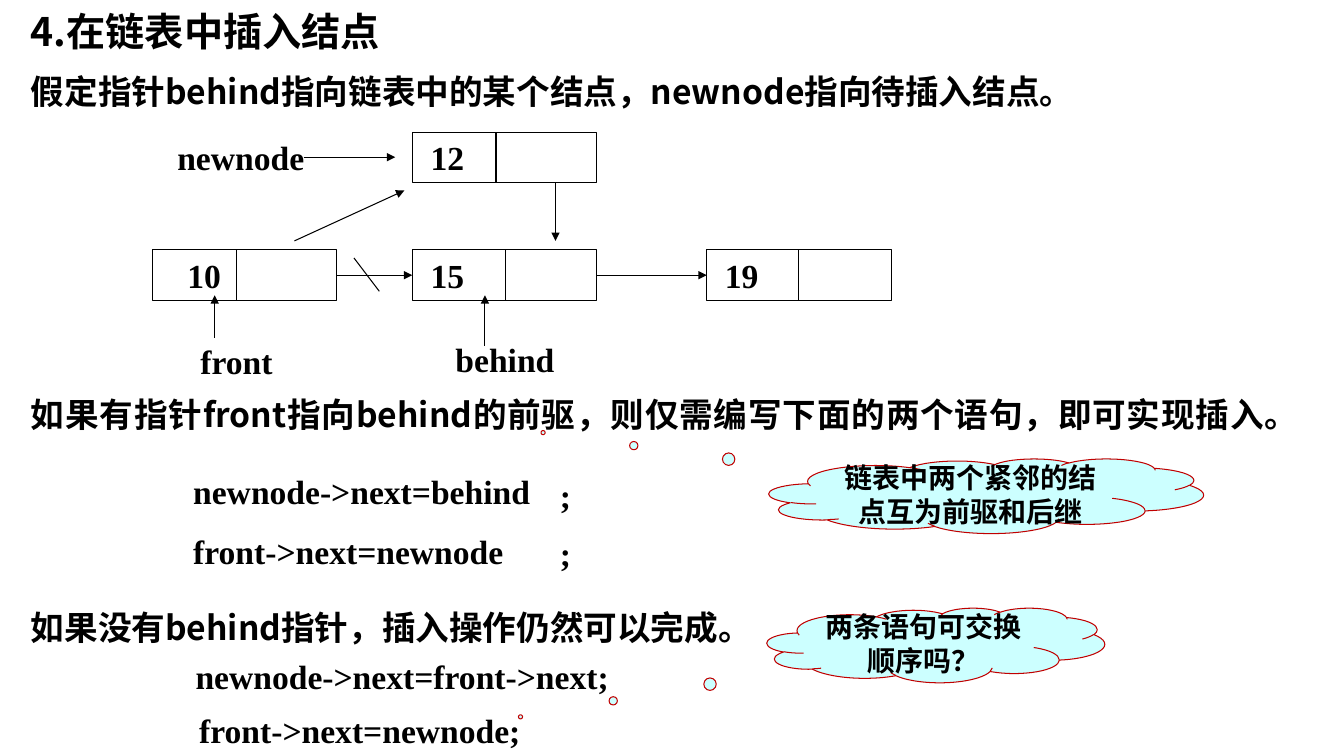
from dataclasses import dataclass

from pptx import Presentation
from pptx import util as u
from pptx.dml import color
from pptx.enum import shapes, text
from pptx.oxml import ns
from lxml import etree


@dataclass(frozen=True)
class Theme:
    """Colours, fonts and type sizes of the slide."""
    ink: str = "000000"
    paper: str = "FFFFFF"
    cloud: str = "CCFFFF"
    edge: str = "C00000"
    han: str = "Noto Sans CJK SC"
    code: str = "Times New Roman"
    head: int = 28
    body: int = 24
    note: int = 20
    rule: float = 0.75


THEME = Theme()
LEFT, MID, JUST = (text.PP_ALIGN.LEFT, text.PP_ALIGN.CENTER, text.PP_ALIGN.JUSTIFY)


def put(item, formats):
    """Set each attribute of an item from a dict."""
    for name, value in formats.items():
        setattr(item, name, value)


def rgb(value):
    """Turn a hex value into a colour."""
    return color.RGBColor.from_string(value)


def write(frame, words, face, size=THEME.body, align=LEFT, **formats):
    """Fill a text frame with one bold paragraph."""
    put(frame, {"word_wrap": True, **formats})
    para = frame.paragraphs[0]
    para.alignment = align
    run = para.add_run()
    run.text = words
    put(run.font, {"name": face, "size": u.Pt(size), "bold": True})
    run.font.color.rgb = rgb(THEME.ink)
    east = etree.SubElement(run.font._element, ns.qn("a:ea"))
    east.set("typeface", face)


def label(slide, box, words, face=THEME.code, **formats):
    """Place a text box."""
    frame = slide.shapes.add_textbox(*map(u.Cm, box)).text_frame
    write(frame, words, face, **formats)


def draw(slide, kind, box, fill, edge):
    """Place a filled and outlined shape."""
    shape = slide.shapes.add_shape(kind, *map(u.Cm, box))
    shape.shadow.inherit = False
    shape.fill.solid()
    shape.fill.fore_color.rgb = rgb(fill)
    shape.line.color.rgb = rgb(edge)
    shape.line.width = u.Pt(THEME.rule)
    return shape


def rule(slide, start, end, arrow=True):
    """Draw a straight line, with an arrowhead at its end if wanted."""
    line = slide.shapes.add_connector(
        shapes.MSO_CONNECTOR.STRAIGHT, *map(u.Cm, (*start, *end)))
    line.line.color.rgb = rgb(THEME.ink)
    line.line.width = u.Pt(THEME.rule)
    if arrow:
        tail = etree.SubElement(line.line._get_or_add_ln(), ns.qn("a:tailEnd"))
        tail.set("type", "triangle")
    etree.SubElement(line._element.spPr, ns.qn("a:effectLst"))
    return line


def node(slide, box, value, split, inset):
    """Draw a list node: a value field and a pointer field."""
    left, top, _, high = box
    shape = draw(slide, shapes.MSO_SHAPE.RECTANGLE, box, THEME.paper, THEME.ink)
    write(shape.text_frame, value, THEME.code, margin_left=u.Cm(inset),
          vertical_anchor=text.MSO_ANCHOR.MIDDLE)
    rule(slide, (left + split, top), (left + split, top + high), False)
    return shape


def join(slide, first, second):
    """Link the right side of one node to the left side of the next."""
    line = rule(slide, (0, 0), (1, 0))
    line.begin_connect(first, 3)
    line.end_connect(second, 1)


def chart(slide, box):
    """Draw the linked list with the node to be inserted."""
    left, top, wide, high = box
    size = (4.65, 1.27)
    row = top + 2.97
    node(slide, (left + 6.55, top, *size), "12", 2.11, 0.46)
    chain = [node(slide, (left + step, row, *size), value, split, inset)
             for step, value, split, inset in (
                 (0, "10", 2.11, 0.88),
                 (6.55, "15", 2.34, 0.46),
                 (13.97, "19", 2.31, 0.46))]
    for first, second in zip(chain, chain[1:]):
        join(slide, first, second)
    for start, end, arrow in (
            ((3.81, 0.63), (6.12, 0.63), True),
            ((3.58, 2.74), (6.35, 1.47), True),
            ((10.16, 1.27), (10.16, 2.74), True),
            ((1.57, 5.18), (1.57, 4.11), True),
            ((8.38, 5.38), (8.38, 4.11), True),
            ((5.08, 3.17), (5.72, 4.01), False)):
        rule(slide, *((left + x, top + y) for x, y in (start, end)), arrow)
    for x, y, name in ((0.38, 0, "newnode"), (0.96, 5.13, "front"),
                       (7.39, 5.08, "behind")):
        label(slide, (left + x, top + y, 4.3, high / 5), name)


def cloud(slide, box, words, tip):
    """Place a thought bubble whose tip is relative to its size."""
    shape = draw(slide, shapes.MSO_SHAPE.CLOUD_CALLOUT, box, THEME.cloud, THEME.edge)
    for place, value in enumerate(tip):
        shape.adjustments[place] = value
    write(shape.text_frame, words, THEME.han, THEME.note, MID,
          vertical_anchor=text.MSO_ANCHOR.MIDDLE)


def intro(slide, box):
    """Place the heading and the opening sentence."""
    left, top, wide, _ = box
    label(slide, (left, top, 21.16, 1.55), "4.在链表中插入结点", THEME.han,
          size=THEME.head, vertical_anchor=text.MSO_ANCHOR.MIDDLE)
    label(slide, (left, top + 1.65, wide, 1.27),
          "假定指针behind指向链表中的某个结点，newnode指向待插入结点。",
          THEME.han, align=JUST)


def steps(slide, box):
    """Place the two ways to insert, with their code and bubbles."""
    left, top, wide, _ = box
    for y, high, words in (
            (0, 2.4, "如果有指针front指向behind的前驱，则仅需编写下面的两个语句，即可实现插入。"),
            (5.38, 1.27, "如果没有behind指针，插入操作仍然可以完成。")):
        label(slide, (left, top + y, wide, high), words, THEME.han, align=JUST)
    for x, y, words in (
            (4.09, 1.93, "newnode->next=behind"), (13.33, 2.05, ";"),
            (4.09, 3.46, "front->next=newnode"), (13.33, 3.5, ";"),
            (4.15, 6.6, "newnode->next=front->next;"),
            (4.24, 7.96, "front->next=newnode;")):
        label(slide, (left + x, top + y, 12, 1.27), words)
    for x, y, span, words, tip in (
            (18.8, 5.52, 8.51, "两条语句可交换顺序吗？", (-1.23, 0.96)),
            (18.85, 1.76, 10.95, "链表中两个紧邻的结点互为前驱和后继", (-1.02, -0.85))):
        cloud(slide, (left + x, top + y, span, 1.88), words, tip)


def main():
    """Build the slide and save it."""
    deck = Presentation()
    put(deck, {"slide_width": u.Cm(33.87), "slide_height": u.Cm(19.05)})
    slide = deck.slides.add_slide(deck.slide_layouts[6])
    intro(slide, (0.53, 0, 29.8, 2.92))
    chart(slide, (3.84, 3.33, 18.62, 6.35))
    steps(slide, (0.53, 9.8, 31.6, 9.23))
    deck.save("out.pptx")


if __name__ == "__main__":
    main()
